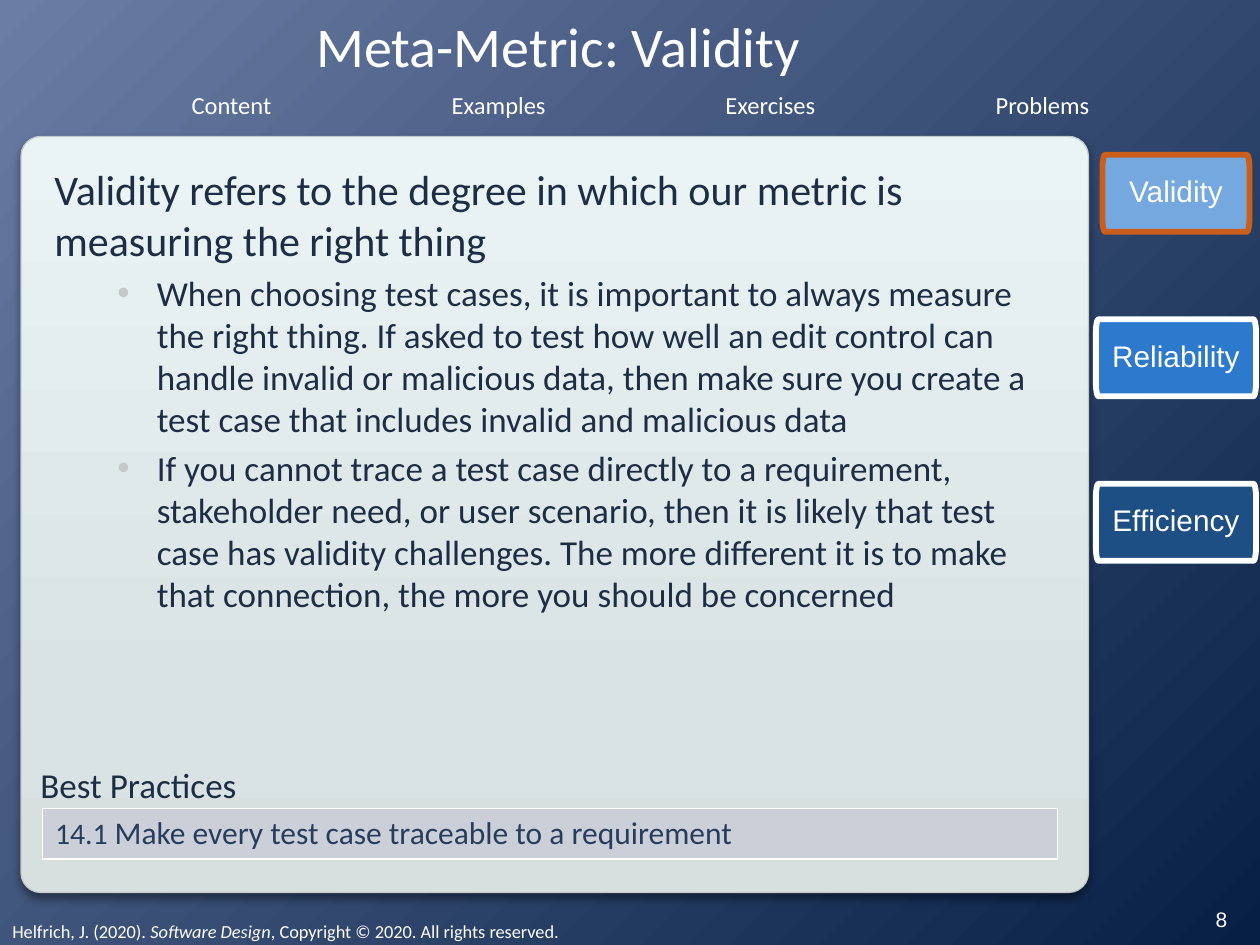
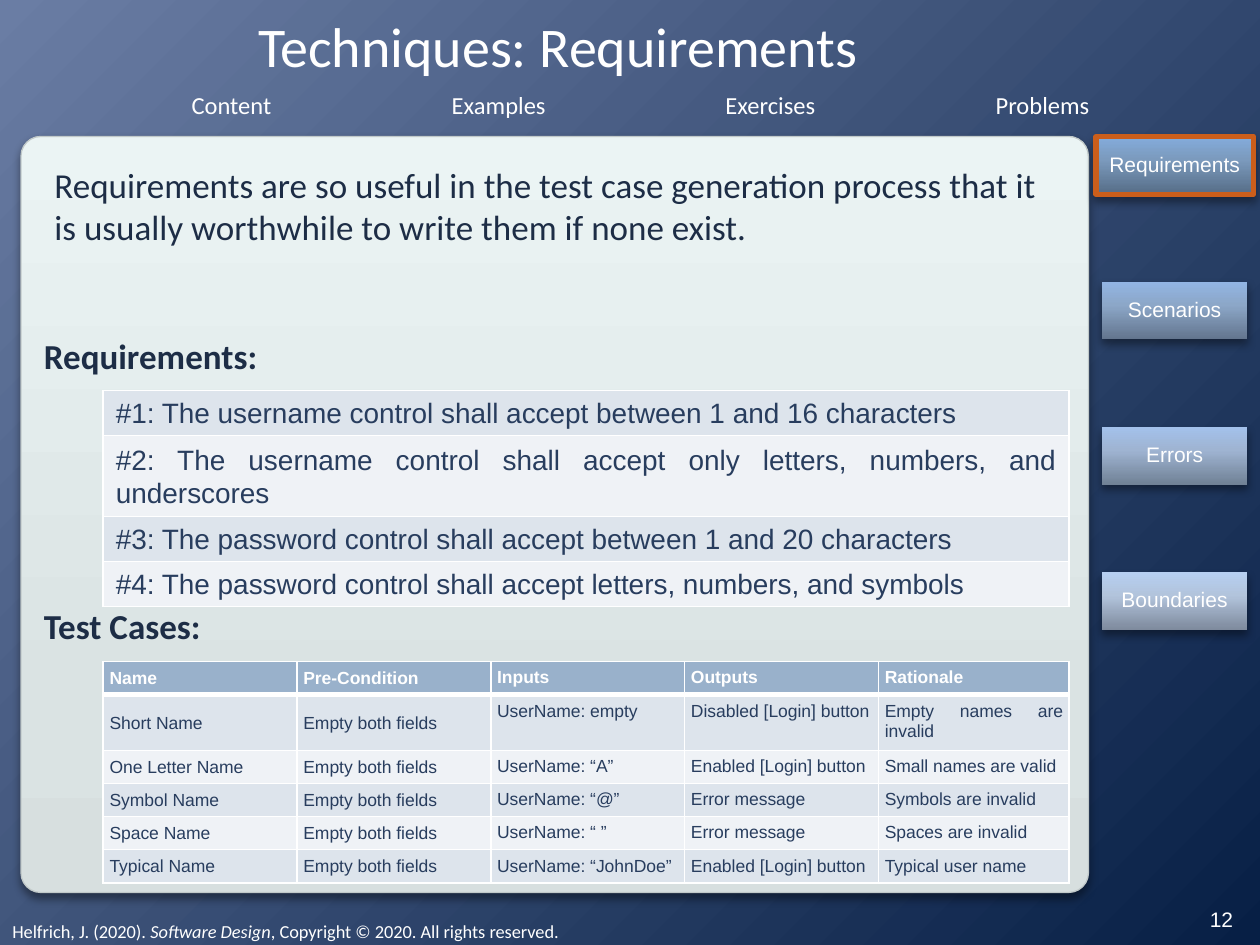
from math import cos, pi, sin

from pptx import Presentation
from pptx.dml.color import RGBColor
from pptx.enum.shapes import MSO_SHAPE
from pptx.enum.text import MSO_ANCHOR, PP_ALIGN
from pptx.oxml import parse_xml
from pptx.oxml.ns import nsdecls, qn
from pptx.util import Pt

WHITE, INK, CELL, MARK = "FFFFFF", "1D2D46", "283D5E", "CB5E1B"
HEAD, BANDS = "99B1CB", ("DDE4EC", "EFF2F6")
SANS, BODY = "Arial", "Calibri"
LEFT, MID, JUST = PP_ALIGN.LEFT, PP_ALIGN.CENTER, PP_ALIGN.JUSTIFY
MENU = [("Content", 102.25, 60), ("Examples", 250.5, 69),
        ("Exercises", 407.25, 66), ("Problems", 561.75, 68)]
CREDIT = ["Helfrich, J. (2020). ", "Software Design",
          ", Copyright © 2020. All rights reserved."]
TABS = [("Validity", 84, "74A8DF", MARK),
        ("Reliability", 91.5, "2D79CD", WHITE),
        ("Efficiency", 91.5, "1D4E84", WHITE)]
STEPS = [("Requirements", 90, ("566D87", "7B9ABD", "84ACDC")),
         ("Scenarios", 83, ("63758E", "8CA7C8", "92B5E4")),
         ("Errors", 83, ("708195", "9FB4D2", "A3C1EB")),
         ("Boundaries", 83, ("7E8A9D", "B2C4DC", "B6CFF1"))]
POINTS = [
    "When choosing test cases, it is important to always measure the right "
    "thing. If asked to test how well an edit control can handle invalid or "
    "malicious data, then make sure you create a test case that includes "
    "invalid and malicious data",
    "If you cannot trace a test case directly to a requirement, stakeholder "
    "need, or user scenario, then it is likely that test case has validity "
    "challenges. The more different it is to make that connection, the more "
    "you should be concerned"]
NEEDS = [
    ["#1: The username control shall accept between 1 and 16 characters"],
    ["#2: The username control shall accept only letters, numbers, and "
     "underscores"],
    ["#3: The password control shall accept between 1 and 20 characters"],
    ["#4: The password control shall accept letters, numbers, and symbols"]]
START = "Empty both fields"
CASES = [
    ["Name", "Pre-Condition", "Inputs", "Outputs", "Rationale"],
    ["Short Name", START, "UserName: empty", "Disabled [Login] button",
     "Empty names are invalid"],
    ["One Letter Name", START, "UserName: “A”", "Enabled [Login] button",
     "Small names are valid"],
    ["Symbol Name", START, "UserName: “@”", "Error message",
     "Symbols are invalid"],
    ["Space Name", START, "UserName: “ ”", "Error message",
     "Spaces are invalid"],
    ["Typical Name", START, "UserName: “JohnDoe”", "Enabled [Login] button",
     "Typical user name"]]


def tint(code):
    """Turn a hex string into a colour."""
    return RGBColor.from_string(code)


def style(para, size, color=WHITE, face=BODY, bold=False, align=LEFT):
    """Format every run of a paragraph."""
    para.alignment = align
    for run in para.runs:
        font = run.font
        font.size, font.name, font.bold = Pt(size), face, bold
        font.color.rgb = tint(color)


def blend(host, fill, stops, angle):
    """Give a shape or slide a gradient of (percent, colour) stops."""
    fill.gradient()
    fill.gradient_angle = angle
    group = host._element.find(".//" + qn("a:gsLst"))
    for stop in list(group):
        group.remove(stop)
    for place, code in stops:
        group.append(parse_xml(
            f'<a:gs {nsdecls("a")} pos="{place * 1000}">'
            f'<a:srgbClr val="{code}"/></a:gs>'))


def shade(shape):
    """Add a soft shadow below a shape."""
    shape.shadow.inherit = False
    shape._element.spPr.find(qn("a:effectLst")).append(parse_xml(
        f'<a:outerShdw {nsdecls("a")} blurRad="{Pt(5.2)}" dist="{Pt(3)}" '
        'dir="5400000" rotWithShape="0"><a:srgbClr val="000000">'
        '<a:alpha val="40000"/></a:srgbClr></a:outerShdw>'))


def edge(shape, color, width):
    """Outline a shape."""
    shape.line.color.rgb = tint(color)
    shape.line.width = Pt(width)


def label(slide, text, at, size, wrap=True, mid=False, **look):
    """Add a text box and return its frame."""
    frame = slide.shapes.add_textbox(*map(Pt, at)).text_frame
    frame.word_wrap = wrap
    frame.vertical_anchor = MSO_ANCHOR.MIDDLE if mid else MSO_ANCHOR.TOP
    frame.text = text
    style(frame.paragraphs[0], size, **look)
    return frame


def bullet(frame, text):
    """Add a second-level bullet to a frame."""
    para = frame.add_paragraph()
    para.text, para.level = text, 1
    props = para._p.get_or_add_pPr()
    props.set("marL", str(Pt(58.5)))
    props.set("indent", str(Pt(-22.5)))
    para.space_before = Pt(4)
    for part in ('<a:buClr {}><a:srgbClr val="C3C8C8"/></a:buClr>',
                 '<a:buFont {} typeface="Arial"/>', '<a:buChar {} char="•"/>'):
        props.append(parse_xml(part.format(nsdecls("a"))))
    style(para, 20, INK)


def caption(shape, text, size):
    """Centre a caption in a side button."""
    frame = shape.text_frame
    frame.word_wrap = False
    frame.vertical_anchor = MSO_ANCHOR.MIDDLE
    frame.text = text
    para = frame.paragraphs[0]
    para.line_spacing = 0.9
    style(para, size, face=SANS, align=MID)


def tab(slide, text, top, width, fill, line):
    """Draw a button whose corners are narrow, tall arcs."""
    high, wide, tall = 44, 1.5, 7.5
    left = 672 - width / 2
    hubs = [(left + width - wide, top + high - tall),
            (left + wide, top + high - tall),
            (left + wide, top + tall), (left + width - wide, top + tall)]
    dots = [(Pt(x + wide * cos(turn)), Pt(y + tall * sin(turn)))
            for quad, (x, y) in enumerate(hubs)
            for turn in [(quad + step / 6) * pi / 2 for step in range(7)]]
    pen = slide.shapes.build_freeform(*dots[0])
    pen.add_line_segments(dots[1:], close=True)
    shape = pen.convert_to_shape()
    shape.shadow.inherit = False
    shape.fill.solid()
    shape.fill.fore_color.rgb = tint(fill)
    edge(shape, line, 3.35)
    caption(shape, text, 17)


def step(slide, text, top, width, tones, chosen):
    """Draw a shaded rectangular button."""
    shape = slide.shapes.add_shape(
        MSO_SHAPE.RECTANGLE, Pt(671.25 - width / 2), Pt(top), Pt(width),
        Pt(33))
    blend(shape, shape.fill, zip((0, 60, 100), tones), 90)
    if chosen:
        edge(shape, MARK, 3)
    else:
        shape.line.fill.background()
    shade(shape)
    caption(shape, text, 12)


def border(cell, top, base):
    """Draw white cell borders, with given top and base widths."""
    props = cell._tc.get_or_add_tcPr()
    for spot, (side, width) in enumerate(
            zip("LRTB", (1, 1, top, base))):
        props.insert(spot, parse_xml(
            f'<a:ln{side} {nsdecls("a")} w="{Pt(width)}"><a:solidFill>'
            f'<a:srgbClr val="{WHITE}"/></a:solidFill></a:ln{side}>'))


def grid(slide, left, top, cols, rows, high):
    """Add a plain table with white borders."""
    table = slide.shapes.add_table(
        len(rows), len(cols), Pt(left), Pt(top), Pt(sum(cols)),
        Pt(high * len(rows))).table
    table.horizontal_banding = table.first_row = False
    for col, width in zip(table.columns, cols):
        col.width = Pt(width)
    for row, texts in zip(table.rows, rows):
        row.height = Pt(high)
        for cell, text in zip(row.cells, texts):
            cell.text = text
            cell.fill.solid()
    return table


def band(table, size, side, rise, head):
    """Style a banded table with side and rise padding."""
    for num, row in enumerate(table.rows):
        top = head and num == 0
        for col, cell in enumerate(row.cells):
            cell.fill.fore_color.rgb = tint(
                HEAD if top else BANDS[(num - head) % 2])
            cell.margin_left = cell.margin_right = Pt(side)
            cell.margin_top = cell.margin_bottom = Pt(rise)
            if col < 2:
                cell.vertical_anchor = MSO_ANCHOR.MIDDLE
            border(cell, 3 if head and num == 1 else 1, 3 if top else 1)
            para = cell.text_frame.paragraphs[0]
            para.line_spacing = 1.07
            style(para, size, WHITE if top else CELL, SANS, top,
                  LEFT if top else JUST)


def base(deck, title, page):
    """Add a slide with the shared backdrop, menu, title and footer."""
    slide = deck.slides.add_slide(deck.slide_layouts[6])
    blend(slide, slide.background.fill, [(0, "6A7DA4"), (100, "071F45")], 315)
    panel = slide.shapes.add_shape(
        MSO_SHAPE.ROUNDED_RECTANGLE, Pt(12), Pt(78), Pt(610), Pt(432))
    panel.adjustments[0] = 0.026
    blend(panel, panel.fill,
          [(0, "D7DFDF"), (25, "DAE3E3"), (100, "EBF4F4")], 90)
    edge(panel, "C1C9C9", 0.75)
    shade(panel)
    for text, left, width in MENU:
        label(slide, text, (left, 48, width, 24), 14, False, align=MID)
    foot = label(slide, "", (0, 522, 648, 21), 10.5).paragraphs[0]
    for text in CREDIT:
        run = foot.add_run()
        run.text = text
        run.font.italic = text == CREDIT[1]
    style(foot, 10.5)
    label(slide, page, (674, 510, 48, 30), 12, mid=True, face=SANS, align=MID)
    name = label(slide, title, (16, 8, 606, 36), 32, mid=True, align=MID)
    name.margin_left = name.margin_right = 0
    name.margin_top = name.margin_bottom = 0
    return slide


def valid(deck):
    """Build the validity slide."""
    slide = base(deck, "Meta-Metric: Validity", "8")
    frame = label(slide, "Validity refers to the degree in which our metric "
                  "is measuring the right thing", (24, 90, 588, 323), 24,
                  color=INK)
    for text in POINTS:
        bullet(frame, text)
    for num, (text, width, fill, line) in enumerate(TABS):
        tab(slide, text, 88.5 + 94 * num, width, fill, line)
    table = grid(slide, 24.25, 462, [580], [["14.1 "]], 26)
    cell = table.cell(0, 0)
    cell.fill.fore_color.rgb = tint("CBCFD8")
    border(cell, 1, 1)
    para = cell.text_frame.paragraphs[0]
    para.add_run().text = "Make every test case traceable to a requirement"
    style(para, 18, CELL)
    para.runs[0].font.size = Pt(17)
    label(slide, "Best Practices", (16, 433, 156, 34), 20, color=INK)


def needs(deck):
    """Build the requirements slide."""
    slide = base(deck, "Techniques: Requirements", "12")
    label(slide, "Requirements are so useful in the test case generation "
          "process that it is usually worthwhile to write them if none exist.",
          (24, 90, 588, 60), 20, color=INK)
    for num, (text, width, tones) in enumerate(STEPS):
        step(slide, text, 78 + 83 * num, width, tones, num == 0)
    for text, top in (("Requirements:", 187.75), ("Test Cases:", 342)):
        label(slide, text, (18, top, 143, 40), 20, color=INK, bold=True)
    band(grid(slide, 59, 223.25, [552], NEEDS, 16), 16, 7.2, 2.6, False)
    table = grid(slide, 59, 378, [110.75] * 4 + [109], CASES, 10)
    table.first_row = True
    band(table, 10, 3.6, 3.05, True)


def main():
    """Build and save the deck."""
    deck = Presentation()
    deck.slide_width, deck.slide_height = Pt(720), Pt(540)
    valid(deck)
    needs(deck)
    deck.save("out.pptx")


if __name__ == "__main__":
    main()
